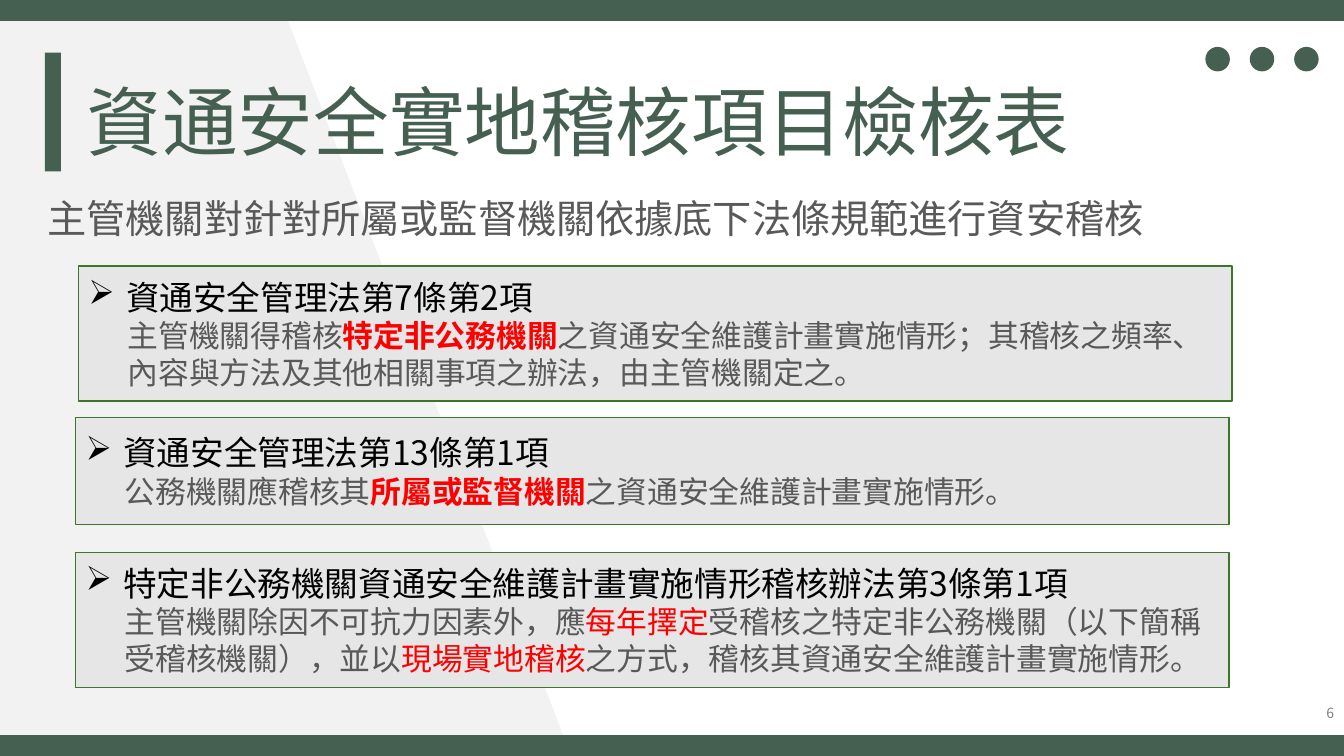
"""Builds the slide on the audit checklist for cyber security."""
from pptx import Presentation, util as u
from pptx.dml.color import RGBColor
from pptx.enum import shapes, text
from pptx.oxml.ns import qn
from lxml import etree

Pt = u.Pt
GREEN, GREY, RED = "455F51", "595959", "FF0000"
FONT = "Noto Sans CJK JP"
RECT, OVAL = shapes.MSO_SHAPE.RECTANGLE, shapes.MSO_SHAPE.OVAL
TOP, MID = text.MSO_ANCHOR.TOP, text.MSO_ANCHOR.MIDDLE
LEFT, RIGHT = text.PP_ALIGN.LEFT, text.PP_ALIGN.RIGHT
JUST = text.PP_ALIGN.JUSTIFY


def paint(part, hue):
    """Give a fill, line or font a solid colour."""
    if hasattr(part, "solid"):
        part.solid()
        part.fore_color.rgb = RGBColor.from_string(hue)
    else:
        part.color.rgb = RGBColor.from_string(hue)


def place(item, box):
    """Move an item to a box in points."""
    item.left, item.top, item.width, item.height = map(Pt, box)


def style(shape, fill, line=None):
    """Set the fill and line of a shape."""
    shape.shadow.inherit = False
    paint(shape.fill, fill)
    if line:
        paint(shape.line, line)
        shape.line.width = Pt(1)
    else:
        shape.line.fill.background()


def draw(slide, kind, box, fill, line=None):
    """Add a preset shape."""
    shape = slide.shapes.add_shape(kind, *map(Pt, box))
    style(shape, fill, line)
    return shape


def frame(shape, anchor):
    """Prepare the text frame of a shape."""
    tf = shape.text_frame
    tf.word_wrap = True
    tf.auto_size = text.MSO_AUTO_SIZE.NONE
    tf.vertical_anchor = anchor
    return tf


def write(para, *runs, size, hue=GREY, font=FONT, align=LEFT, gap=None,
          indent=0, hang=0, mark=None):
    """Fill a paragraph with plain strings or (text, colour, bold) runs."""
    para.alignment = align
    para.space_before = Pt(0)
    if gap:
        para.line_spacing = Pt(gap)
    props = para._p.get_or_add_pPr()
    props.set("marL", str(Pt(indent)))
    props.set("indent", str(Pt(-hang)))
    if mark:
        etree.SubElement(props, qn("a:buChar"), char=mark)
    else:
        etree.SubElement(props, qn("a:buNone"))
    for item in runs:
        words, tint, bold = (item, hue, False) if isinstance(item, str) else item
        run = para.add_run()
        run.text = words
        run.font.size, run.font.name, run.font.bold = Pt(size), font, bold
        etree.SubElement(run._r.get_or_add_rPr(), qn("a:ea"), typeface=font)
        paint(run.font, tint)


def decor(slide, wide, high):
    """Draw the slanted panel, the bars and the dots."""
    pen = slide.shapes.build_freeform(0, 0, scale=Pt(1))
    pen.add_line_segments([(0, high), (407.5, high), (200, 0)], close=True)
    style(pen.convert_to_shape(), "F2F2F2")
    for top in (0, high - 15):
        draw(slide, RECT, (0, top, wide, 15), GREEN)
    draw(slide, RECT, (32, 37.5, 11.5, 85), GREEN)
    for n in range(3):
        draw(slide, OVAL, (861 + 31.7 * n, 33.5, 17.5, 17.5), GREEN)


def head(slide, box, title, lead):
    """Fill the title and the lead line below it."""
    x, y, wide, high = box
    name, body = slide.shapes.title, slide.placeholders[1]
    place(name, (x, y, wide, high))
    write(frame(name, TOP).paragraphs[0], title, size=54, hue=GREEN, gap=68)
    place(body, (x - 28, y + 82, wide + 51, 42))
    write(frame(body, TOP).paragraphs[0], lead, size=28, align=JUST, gap=40)


def law(slide, box, name, runs):
    """Draw one box with the name of an article and its text."""
    tf = frame(draw(slide, RECT, box, "E6E6E6", "3E752A"), MID)
    write(tf.paragraphs[0], name, size=24, hue="000000", gap=28.8,
          indent=27, hang=27, mark="➢")
    write(tf.add_paragraph(), *runs, size=22, gap=26.4, indent=28)


def foot(slide, box, number):
    """Write the page number."""
    tf = frame(slide.shapes.add_textbox(*map(Pt, box)), MID)
    write(tf.paragraphs[0], number, size=10, hue="808080",
          font="Noto Sans CJK SC", align=RIGHT)


LAWS = [
    ((56, 190, 824, 96.5), "資通安全管理法第7條第2項",
     ["主管機關得稽核", ("特定非公務機關", RED, True),
      "之資通安全維護計畫實施情形；其稽核之頻率、內容與方法及其他相關事項之辦法，由主管機關定之。"]),
    ((54, 298, 824, 76.5), "資通安全管理法第13條第1項",
     ["公務機關應稽核其", ("所屬或監督機關", RED, True),
      "之資通安全維護計畫實施情形。"]),
    ((54, 394.5, 824, 96.5), "特定非公務機關資通安全維護計畫實施情形稽核辦法第3條第1項",
     ["主管機關除因不可抗力因素外，應", ("每年擇定", RED, False),
      "受稽核之特定非公務機關（以下簡稱受稽核機關），並以",
      ("現場實地稽核", RED, False),
      "之方式，稽核其資通安全維護計畫實施情形。"]),
]


def main():
    """Build and save the slide."""
    deck = Presentation()
    deck.slide_width, deck.slide_height = Pt(960), Pt(540)
    slide = deck.slides.add_slide(deck.slide_layouts[1])
    decor(slide, 960, 540)
    head(slide, (54.7, 47, 828, 80), "資通安全實地稽核項目檢核表",
         "主管機關對針對所屬或監督機關依據底下法條規範進行資安稽核")
    for box, name, runs in LAWS:
        law(slide, box, name, runs)
    foot(slide, (812, 500, 148, 19), "6")
    tree = slide.shapes._spTree
    for holder in list(slide.placeholders):
        tree.append(holder._element)
    deck.save("out.pptx")


if __name__ == "__main__":
    main()
